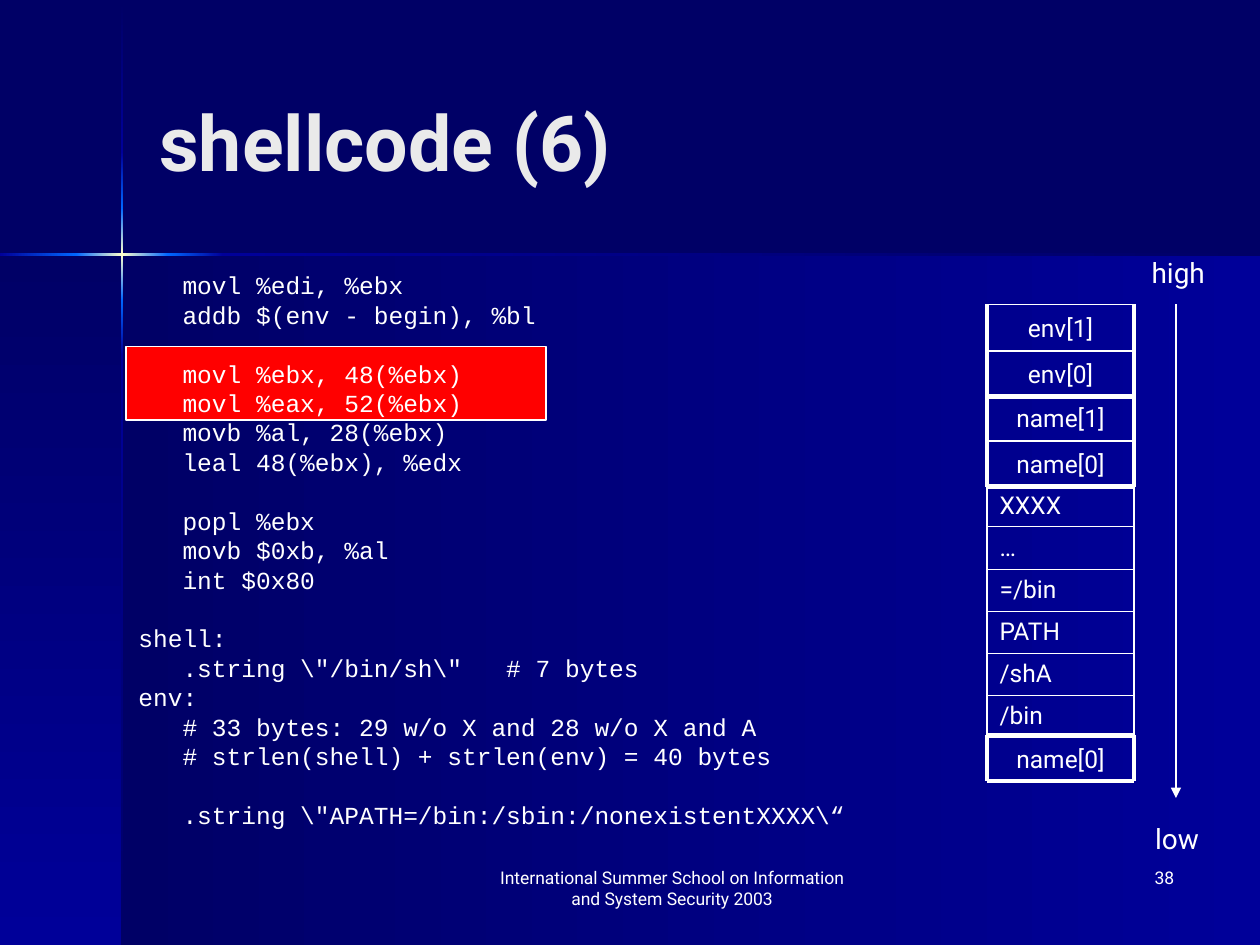
from copy import deepcopy
from dataclasses import dataclass
from itertools import pairwise

from lxml import etree
from pptx import Presentation
from pptx.dml.color import RGBColor as RGB
from pptx.enum.shapes import MSO_CONNECTOR as Conn, MSO_SHAPE as Form
from pptx.enum.text import MSO_ANCHOR as Anchor, PP_ALIGN as Align
from pptx.oxml import parse_xml
from pptx.oxml.ns import nsdecls, qn
from pptx.util import Pt


@dataclass(frozen=True)
class Theme:
    dark: str = "000066"
    deep: str = "000099"
    glow: str = "0066FF"
    star: str = "FFFFCC"
    mark: str = "FF0000"
    head: str = "EAEAEA"
    ink: str = "FFFFFF"
    sans: str = "Roboto"
    mono: str = "Courier New"
    title: int = 44
    label: int = 16
    body: int = 14
    small: int = 10


T = Theme()
deck = Presentation()
deck.slide_width, deck.slide_height = Pt(720), Pt(540)
slide = deck.slides.add_slide(deck.slide_layouts[6])
slide.background.fill.solid()
slide.background.fill.fore_color.rgb = RGB.from_string(T.dark)
shapes = slide.shapes


def write(text, at, size=T.body, font=T.sans, color=T.ink, bold=False,
          align=Align.LEFT, anchor=Anchor.TOP, wrap=True, lead=None):
    frame = shapes.add_textbox(*map(Pt, at)).text_frame
    frame.word_wrap, frame.vertical_anchor = wrap, anchor
    para = frame.paragraphs[0]
    para.text = text
    para.alignment = align
    if lead:
        para.line_spacing = Pt(lead)
    for run in para.runs:
        run.font.name, run.font.size, run.font.bold = font, Pt(size), bold
        run.font.color.rgb = RGB.from_string(color)


def draw(x1, y1, x2, y2, width):
    line = shapes.add_connector(Conn.STRAIGHT, Pt(x1), Pt(y1), Pt(x2), Pt(y2))
    line.line.color.rgb = RGB.from_string(T.ink)
    line.line.width = Pt(width)
    etree.SubElement(line._element.spPr, qn("a:effectLst"))
    return line


# Background panels and the glowing cross: place, colours, angle
cx, cy, thin = 69.1, 144.75, 1.4
fades = [((70, 145.5, 650, 394.5), (T.dark, T.deep), 0),
         ((0, 145.5, 70, 394.5), (T.dark, T.deep), 270)]
flare = (T.glow, T.star, T.glow)
tones = [(T.dark, T.deep), (T.deep, T.glow), flare,
         (T.glow, T.deep), (T.deep, T.dark)]
for (a, b), hues in zip(pairwise((0.5, 87, 119, 171.5, 203, 540)), tones):
    fades.append(((cx, a, thin, b - a), hues, 270))
for (a, b), hues in zip(pairwise((0, 43.5, 96, 127.5, 720)), tones[1:]):
    fades.append(((a, cy, b - a, thin), hues, 0))

for at, hues, angle in fades:
    bar = shapes.add_shape(Form.RECTANGLE, *map(Pt, at))
    bar.shadow.inherit = False
    bar.line.fill.background()
    bar.fill.gradient()
    bar.fill.gradient_angle = angle
    stops = bar._element.spPr.find(".//" + qn("a:gsLst"))
    if len(hues) == 3:
        stops.insert(1, deepcopy(stops[0]))
    for i, (stop, hue) in enumerate(zip(bar.fill.gradient_stops, hues)):
        stop.color.rgb = RGB.from_string(hue)
        stop.position = i / (len(hues) - 1)

# Highlight behind two code lines
mark = shapes.add_shape(Form.RECTANGLE, Pt(72), Pt(198), Pt(240), Pt(42))
mark.shadow.inherit = False
mark.fill.solid()
mark.fill.fore_color.rgb = RGB.from_string(T.mark)
mark.line.color.rgb = RGB.from_string(T.ink)
mark.line.width = Pt(0.75)

# Title and code
write("shellcode (6)", (84, 24, 594, 113), size=T.title, color=T.head,
      bold=True, anchor=Anchor.MIDDLE)
code = r"""   movl %edi, %ebx
   addb $(env - begin), %bl

   movl %ebx, 48(%ebx)
   movl %eax, 52(%ebx)
   movb %al, 28(%ebx)
   leal 48(%ebx), %edx

   popl %ebx
   movb $0xb, %al
   int $0x80

shell:
   .string \"/bin/sh\"   # 7 bytes
env:
   # 33 bytes: 29 w/o X and 28 w/o X and A
   # strlen(shell) + strlen(env) = 40 bytes

   .string \"APATH=/bin:/sbin:/nonexistentXXXX\“"""
write(code, (72, 151, 516, 327), font=T.mono, lead=16.8)

# Stack memory: the string words
left, wide, high = 564, 84, 26.5
words = ["XXXX", "…", "=/bin", "PATH", "/shA", "/bin"]
table = shapes.add_table(len(words), 1, Pt(left), Pt(277), Pt(wide),
                         Pt(24 * len(words))).table
table.first_row = table.horz_banding = False
for i, word in enumerate(words):
    table.rows[i].height = Pt(24)
    cell = table.cell(i, 0)
    cell.text = word
    cell.vertical_anchor = Anchor.MIDDLE
    font = cell.text_frame.paragraphs[0].runs[0].font
    font.name, font.size = T.sans, Pt(T.body)
    font.color.rgb = RGB.from_string(T.ink)
    edges = {"L": 1.08, "R": 1.08, "T": 0.45 if i else 1.08,
             "B": 0.45 if i < len(words) - 1 else 1.08}
    props = cell._tc.get_or_add_tcPr()
    for side, width in edges.items():
        props.append(parse_xml(
            f'<a:ln{side} {nsdecls("a")} w="{Pt(width)}"><a:solidFill>'
            f'<a:srgbClr val="{T.ink}"/></a:solidFill></a:ln{side}>'))
    cell.fill.background()

# Stack memory: the pointer boxes, with the width of each top edge
for top, names, rim in [(420, ["name[0]"], 2.25),
                        (225.5, ["name[1]", "name[0]"], 1),
                        (174, ["env[1]", "env[0]"], 1)]:
    end = top + high * len(names)
    for i, name in enumerate(names):
        y = top + high * i
        write(name, (left, y, wide, high), align=Align.CENTER,
              anchor=Anchor.MIDDLE)
        draw(left, y, left + wide, y, rim)
    draw(left, end, left + wide, end, 2.25)
    for x in (left, left + wide):
        draw(x, top, x, end, 2.25)

# Address axis
write("high", (651, 142.5, 47.5, 26.5), size=T.label, wrap=False)
write("low", (653, 466, 40.5, 26.5), size=T.label, wrap=False)
axis = draw(672, 174, 672, 456, 0.75)
etree.SubElement(axis.line._get_or_add_ln(), qn("a:tailEnd"), type="triangle")

# Footer
write("International Summer School on Information and System Security 2003",
      (270, 492, 228, 36), size=T.small, align=Align.CENTER)
write("38", (528, 492, 150, 36), size=T.small, align=Align.RIGHT)

deck.save("out.pptx")
